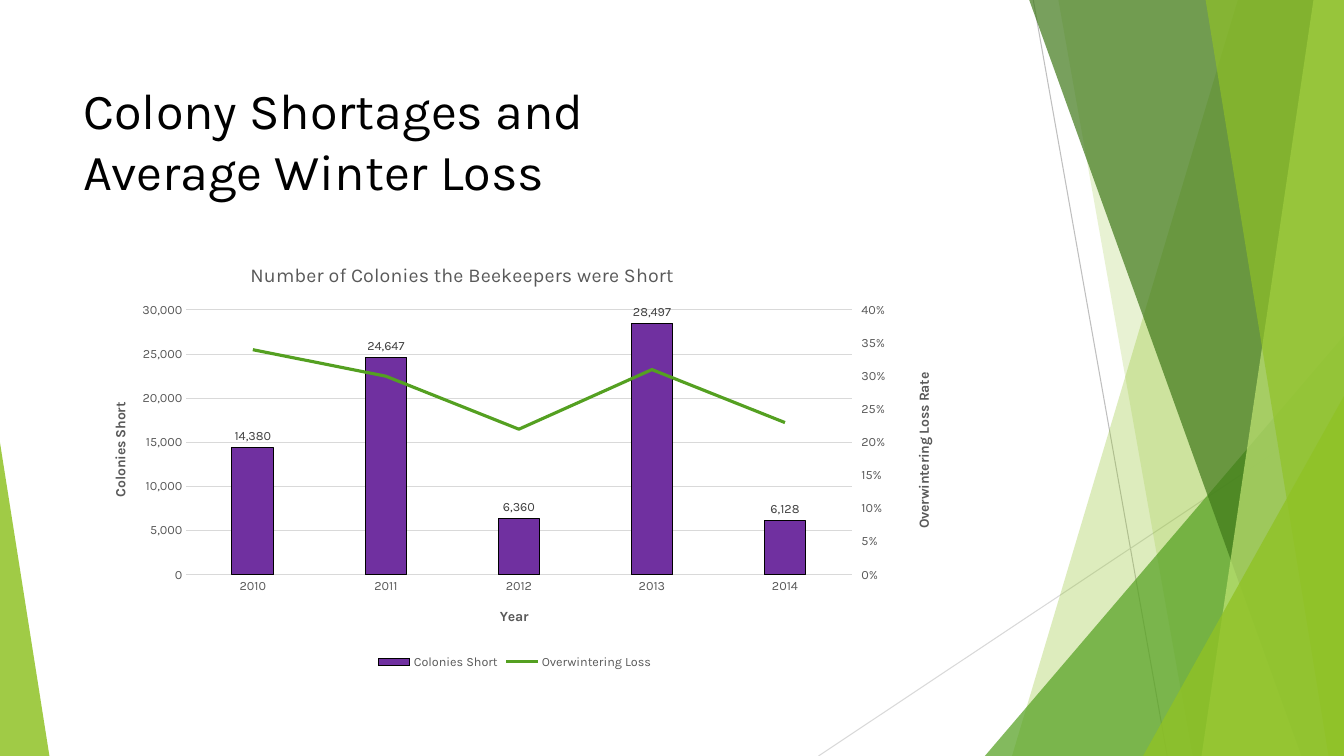
import copy
from typing import NamedTuple

import lxml.etree
import pptx
import pptx.chart.axis
import pptx.chart.data
import pptx.dml.color
import pptx.enum.chart
import pptx.enum.shapes
import pptx.enum.text
import pptx.oxml
import pptx.oxml.ns
import pptx.util

qn = pptx.oxml.ns.qn
RGB = pptx.dml.color.RGBColor
LIME = RGB(0x90, 0xC2, 0x26)
PALE_LIME = RGB(0xC0, 0xE4, 0x74)
GREEN = RGB(0x54, 0xA0, 0x21)
FOREST = RGB(0x3F, 0x78, 0x19)
PURPLE = RGB(0x70, 0x30, 0xA0)
BLACK = RGB(0, 0, 0)
CHARCOAL = RGB(0x40, 0x40, 0x40)
GREY = RGB(0x59, 0x59, 0x59)
SILVER = RGB(0xBF, 0xBF, 0xBF)
RULE = RGB(0xD9, 0xD9, 0xD9)
FONT = "Karla"


class Ray(NamedTuple):
    start: tuple[float, float]
    end: tuple[float, float]
    color: RGB


class Facet(NamedTuple):
    top_x: float
    bottom_x: float
    color: RGB
    opacity: int


class Wedge(NamedTuple):
    left: float
    top: float
    width: float
    apex: int
    color: RGB
    opacity: int


RAYS = [
    Ray((76.88, 0), (86.85, 100), SILVER),
    Ray((100, 53.73), (60.9, 100), RULE),
]
BACKDROP = [
    Facet(92.1, 75.3, LIME, 30),
    Facet(78.75, 88.73, LIME, 20),
    Wedge(73.28, 44.4, 26.72, 1, GREEN, 72),
    Facet(76.58, 96.83, FOREST, 70),
    Facet(97.73, 89.4, PALE_LIME, 70),
    Facet(89.7, 98.85, LIME, 65),
    Wedge(85.05, 52.4, 14.95, 1, LIME, 80),
    Wedge(0, 58.53, 3.68, 0, LIME, 85),
]

deck = pptx.Presentation()
deck.slide_width = pptx.util.Inches(13.33)
deck.slide_height = pptx.util.Inches(7.5)
slide = deck.slides.add_slide(deck.slide_layouts[6])


def across(percent: float) -> int:
    return round(deck.slide_width * percent / 100)


def down(percent: float) -> int:
    return round(deck.slide_height * percent / 100)


def style_font(font, size: float, color: RGB, bold: bool = False) -> None:
    font.name, font.size, font.bold = FONT, pptx.util.Pt(size), bold
    font.color.rgb = color


def style_line(line, color: RGB, width: float = 0.75) -> None:
    line.color.rgb = color
    line.width = pptx.util.Pt(width)


def draw_ray(ray: Ray) -> None:
    line = slide.shapes.add_connector(
        pptx.enum.shapes.MSO_CONNECTOR.STRAIGHT,
        across(ray.start[0]), down(ray.start[1]), across(ray.end[0]), down(ray.end[1]))
    style_line(line.line, ray.color)
    lxml.etree.SubElement(line._element.spPr, qn("a:effectLst"))


def draw_panel(panel: Facet | Wedge) -> None:
    if isinstance(panel, Facet):
        outline = slide.shapes.build_freeform(across(panel.top_x), 0)
        outline.add_line_segments([
            (across(100), 0), (across(100), down(100)), (across(panel.bottom_x), down(100))])
        shape = outline.convert_to_shape()
    else:
        shape = slide.shapes.add_shape(
            pptx.enum.shapes.MSO_SHAPE.ISOSCELES_TRIANGLE,
            across(panel.left), down(panel.top), across(panel.width), down(100 - panel.top))
        shape.adjustments[0] = panel.apex
    shape.shadow.inherit = False
    shape.line.fill.background()
    shape.fill.solid()
    shape.fill.fore_color.rgb = panel.color
    tint = shape._element.spPr.find(".//" + qn("a:srgbClr"))
    lxml.etree.SubElement(tint, qn("a:alpha"), val=str(panel.opacity * 1000))


def place(element, index: int, **shares: float) -> None:
    for old in element.findall(qn("c:layout")):
        element.remove(old)
    layout = lxml.etree.Element(qn("c:layout"))
    manual = lxml.etree.SubElement(layout, qn("c:manualLayout"))
    if "w" in shares:
        lxml.etree.SubElement(manual, qn("c:layoutTarget"), val="inner")
    for side in "xy":
        lxml.etree.SubElement(manual, qn(f"c:{side}Mode"), val="edge")
    for side, share in shares.items():
        lxml.etree.SubElement(manual, qn(f"c:{side}"), val=str(share))
    element.insert(index, layout)


def add_caption(title, text: str, size: float, x: float, y: float,
                bold: bool = True, upright: bool = False) -> None:
    frame = title.text_frame
    frame.clear()
    run = frame.paragraphs[0].add_run()
    run.text = text
    style_font(run.font, size, GREY, bold)
    frame._txBody.bodyPr.set("rot", "-5400000" if upright else "0")
    place(title._element, 1, x=x, y=y)


def style_value_axis(axis, top: float, step: float, number_format: str) -> None:
    axis.minimum_scale, axis.maximum_scale, axis.major_unit = 0, top, step
    axis.major_tick_mark = pptx.enum.chart.XL_TICK_MARK.NONE
    axis.tick_labels.number_format = number_format
    axis.tick_labels.number_format_is_linked = False
    style_font(axis.tick_labels.font, 9, GREY)
    axis.format.line.fill.background()


def move_to_right_axis(chart):
    plot_area = chart._chartSpace.chart.plotArea
    bars = plot_area.find(qn("c:barChart"))
    loss = bars.findall(qn("c:ser"))[1]
    for bar_only in loss.findall(qn("c:invertIfNegative")):
        loss.remove(bar_only)
    lines = lxml.etree.SubElement(plot_area, qn("c:lineChart"))
    bars.addnext(lines)
    lxml.etree.SubElement(lines, qn("c:grouping"), val="standard")
    lxml.etree.SubElement(lines, qn("c:varyColors"), val="0")
    lines.append(loss)
    lxml.etree.SubElement(lines, qn("c:marker"), val="1")

    years = copy.deepcopy(chart.category_axis._element)
    rates = copy.deepcopy(chart.value_axis._element)
    for axis, own, other in ((years, "5001", "5002"), (rates, "5002", "5001")):
        axis.find(qn("c:axId")).set("val", own)
        axis.find(qn("c:crossAx")).set("val", other)
        lxml.etree.SubElement(lines, qn("c:axId"), val=own)
    years.find(qn("c:delete")).set("val", "1")
    rates.find(qn("c:axPos")).set("val", "r")
    rates.find(qn("c:crosses")).set("val", "max")
    chart.value_axis._element.addnext(rates)
    rates.addnext(years)
    return pptx.chart.axis.ValueAxis(rates)


def draw_chart() -> None:
    figures = pptx.chart.data.CategoryChartData()
    figures.categories = ["2010", "2011", "2012", "2013", "2014"]
    figures.add_series("Colonies Short", [14380, 24647, 6360, 28497, 6128], "#,##0")
    figures.add_series("Overwintering Loss", [0.34, 0.3, 0.22, 0.31, 0.23], "0%")
    chart = slide.shapes.add_chart(
        pptx.enum.chart.XL_CHART_TYPE.COLUMN_CLUSTERED,
        across(6.15), down(32.53), across(64.28), down(56.53), figures).chart
    style_font(chart.font, 10, BLACK)

    shortage, years = chart.value_axis, chart.category_axis
    shortage.has_major_gridlines = False
    years.major_tick_mark = pptx.enum.chart.XL_TICK_MARK.NONE
    style_font(years.tick_labels.font, 9, GREY)
    style_line(years.format.line, RULE)
    rates = move_to_right_axis(chart)
    style_value_axis(shortage, 30000, 5000, "#,##0")
    style_value_axis(rates, 0.4, 0.05, "0%")
    rates.major_tick_mark = pptx.enum.chart.XL_TICK_MARK.OUTSIDE
    shortage.has_major_gridlines = True
    style_line(shortage.major_gridlines.format.line, RULE)

    columns, trend = chart.plots
    columns.gap_width = 219
    columns.vary_by_categories = False
    colonies, loss = columns.series[0], trend.series[0]
    colonies.format.fill.solid()
    colonies.format.fill.fore_color.rgb = PURPLE
    style_line(colonies.format.line, BLACK)
    labels = colonies.data_labels
    labels.show_value = True
    labels.position = pptx.enum.chart.XL_LABEL_POSITION.OUTSIDE_END
    style_font(labels.font, 9, CHARCOAL)
    style_line(loss.format.line, GREEN, 2.25)
    loss.marker.style = pptx.enum.chart.XL_MARKER_STYLE.NONE
    loss.smooth = False

    chart.has_title = True
    add_caption(chart.chart_title, "Number of Colonies the Beekeepers were Short", 14, 0.19, 0.03, bold=False)
    add_caption(years.axis_title, "Year", 10, 0.48, 0.84)
    add_caption(shortage.axis_title, "Colonies Short", 10, 0.03, 0.36, upright=True)
    add_caption(rates.axis_title, "Overwintering Loss Rate", 10, 0.96, 0.29, upright=True)
    place(chart._chartSpace.chart.plotArea, 0, x=0.12, y=0.15, w=0.77, h=0.62)
    chart.has_legend = True
    chart.legend.position = pptx.enum.chart.XL_LEGEND_POSITION.BOTTOM
    chart.legend.include_in_layout = False
    style_font(chart.legend.font, 9, GREY)


def draw_heading(*lines: str) -> None:
    frame = slide.shapes.add_textbox(across(5.48), down(8.93), across(70.5), down(19.2)).text_frame
    frame.word_wrap = True
    frame.vertical_anchor = pptx.enum.text.MSO_ANCHOR.MIDDLE
    paragraph = frame.paragraphs[0]
    for number, line in enumerate(lines):
        if number:
            paragraph.add_line_break()
        run = paragraph.add_run()
        run.text = line
        style_font(run.font, 36, BLACK)


for ray in RAYS:
    draw_ray(ray)
for panel in BACKDROP:
    draw_panel(panel)
draw_heading("Colony Shortages and", "Average Winter Loss")
draw_chart()
deck.save("out.pptx")
